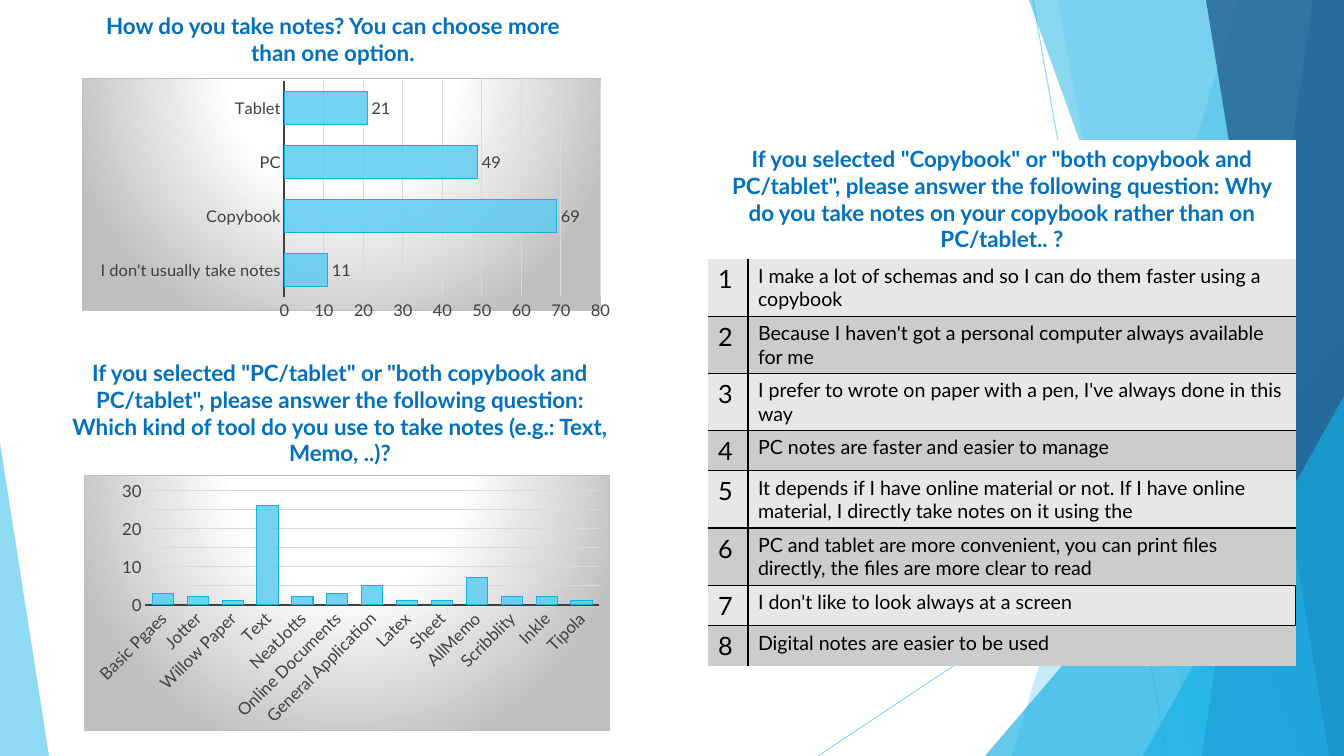
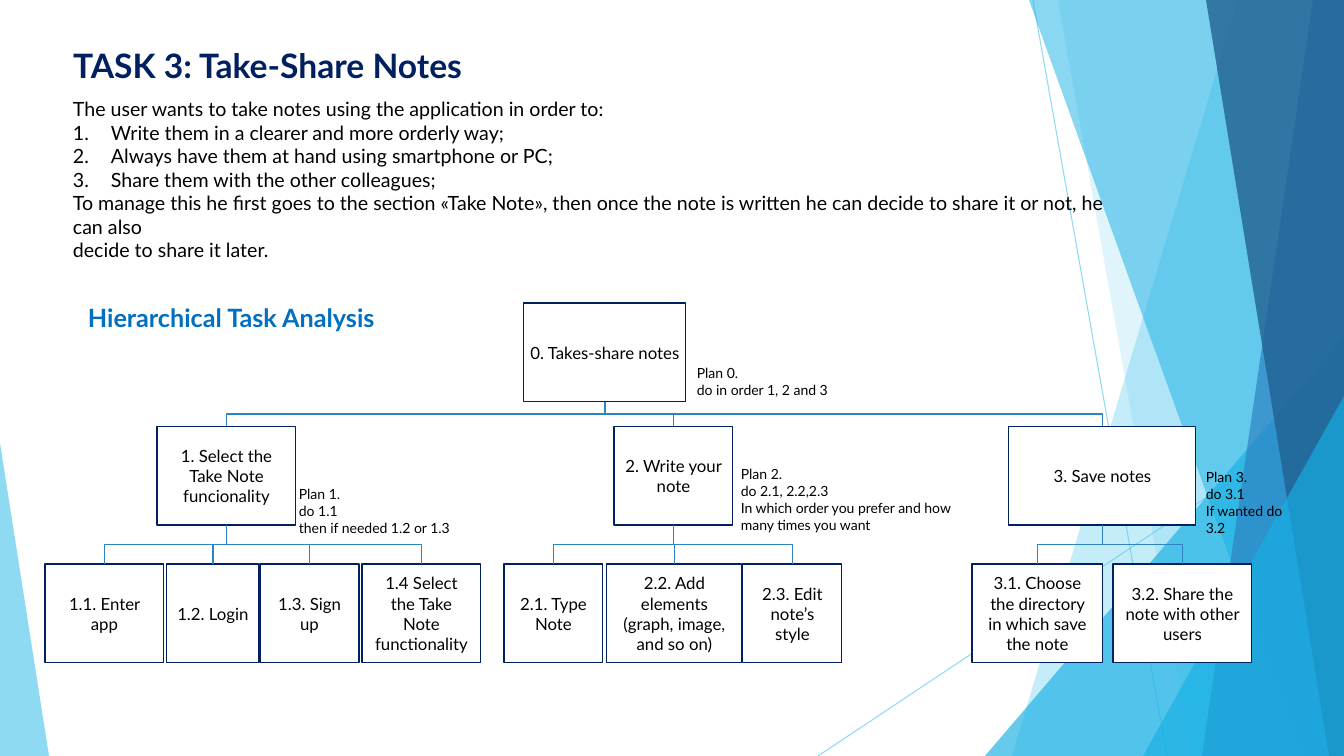
from typing import NamedTuple

from pptx import Presentation
from pptx.chart.data import CategoryChartData
from pptx.dml.color import RGBColor
from pptx.enum.chart import XL_CHART_TYPE as ChartType
from pptx.enum.chart import XL_LABEL_POSITION as LabelPosition
from pptx.enum.chart import XL_TICK_MARK as TickMark
from pptx.enum.shapes import MSO_CONNECTOR as Connector
from pptx.enum.shapes import MSO_SHAPE as Preset
from pptx.enum.text import MSO_ANCHOR as Anchor
from pptx.enum.text import MSO_AUTO_SIZE as AutoSize
from pptx.enum.text import PP_ALIGN as Align
from pptx.oxml import parse_xml
from pptx.oxml.ns import nsdecls
from pptx.util import Pt

PAGE_WIDTH, PAGE_HEIGHT = 1344, 756
SCALE = 12192000 / PAGE_WIDTH
FONT = "Lato"
BLACK = RGBColor(0x00, 0x00, 0x00)
WHITE = RGBColor(0xFF, 0xFF, 0xFF)
NAVY = RGBColor(0x00, 0x20, 0x60)
BLUE = RGBColor(0x00, 0x70, 0xC0)
SKY = RGBColor(0x5F, 0xCB, 0xEF)
CYAN = RGBColor(0x17, 0xB0, 0xE4)
STEEL = RGBColor(0x2E, 0x83, 0xC3)
DEEP = RGBColor(0x22, 0x62, 0x92)
CHARCOAL = RGBColor(0x40, 0x40, 0x40)
GRID = RGBColor(0xD9, 0xD9, 0xD9)
ROW_FILLS = RGBColor(0xE7, 0xE7, 0xE7), RGBColor(0xCC, 0xCC, 0xCC)

REASONS = [
    "I make a lot of schemas and so I can do them faster using a copybook",
    "Because I haven't got a personal computer always available for me",
    "I prefer to wrote on paper with a pen, I've always done in this way",
    "PC notes are faster and easier to manage",
    "It depends if I have online material or not. If I have online material, "
    "I directly take notes on it using the",
    "PC and tablet are more convenient, you can print files directly, "
    "the files are more clear to read",
    "I don't like to look always at a screen",
    "Digital notes are easier to be used",
]
DEVICES = {"I don't usually take notes": 11, "Copybook": 69, "PC": 49, "Tablet": 21}
TOOLS = {
    "Basic Pgaes": 3, "Jotter": 2, "Willow Paper": 1, "Text": 26, "NeatJotts": 2,
    "Online Documents": 3, "General Application": 5, "Latex": 1, "Sheet": 1,
    "AllMemo": 7, "Scribblity": 2, "Inkle": 2, "Tipola": 1,
}
# Each task: text, left, width, subtasks
TASKS = ("0. Takes-share notes", 479, 162, [
    ("1. Select the Take Note funcionality", 112, 139, [
        ("1.1. Enter app", 0, 119, []),
        ("1.2. Login", 122, 92, []),
        ("1.3. Sign up", 215, 99, []),
        ("1.4 Select the Take Note functionality", 317, 119, []),
    ]),
    ("2. Write your note", 569, 119, [
        ("2.1. Type Note", 459, 99, []),
        ("2.2. Add elements (graph, image, and so on)", 562, 135, []),
        ("2.3. Edit note’s style", 698, 99, []),
    ]),
    ("3. Save notes", 964, 187, [
        ("3.1. Choose the directory in which save the note", 927, 131, []),
        ("3.2. Share the note with other users", 1068, 139, []),
    ]),
])
TASK_ROWS, TASK_HEIGHT = (0, 123, 261), 99
PLANS = [
    (642, 57, 160, ["Plan 0.", "do in order 1, 2 and 3"]),
    (244, 178, 179, ["Plan 1.", "do 1.1", "then if needed 1.2 or 1.3"]),
    (686, 158, 242, ["Plan 2.", "do 2.1, 2.2,2.3",
                     "In which order you prefer and how many times you want"]),
    (1151, 161, 114, ["Plan 3.", "do 3.1", "If wanted do 3.2"]),
]


class Box(NamedTuple):
    left: int
    top: int
    width: int
    height: int

    def emu(self):
        return [px(length) for length in self]


def px(length):
    return round(length * SCALE)


def set_alpha(element, query, percent):
    for color in element.xpath(query):
        color.append(parse_xml(f'<a:alpha {nsdecls("a")} val="{percent * 1000}"/>'))


def write(shape, lines, size, color=BLACK, bold=False, align=Align.LEFT, anchor=Anchor.TOP):
    frame = shape.text_frame
    frame.text = "\n".join(lines)
    frame.word_wrap = True
    frame.auto_size = AutoSize.NONE
    frame.vertical_anchor = anchor
    for para in frame.paragraphs:
        para.alignment = align
        for span in para.runs:
            font = span.font
            font.name, font.size, font.bold = FONT, Pt(size), bold
            font.color.rgb = color


def add_text(page, box, lines, size, **style):
    shape = page.shapes.add_textbox(*box.emu())
    write(shape, lines, size, **style)
    return shape


def set_title(page, box, text, size, **style):
    title = page.shapes.title
    title.left, title.top, title.width, title.height = box.emu()
    write(title, [text], size, bold=True, **style)


def paint(shape, color, percent):
    shape.shadow.inherit = False
    shape.fill.solid()
    shape.fill.fore_color.rgb = color
    shape.line.fill.background()
    set_alpha(shape.element, "./p:spPr/a:solidFill/a:srgbClr", percent)


def add_line(page, kind, color, width, ends=(0, 0, 0, 0)):
    line = page.shapes.add_connector(kind, *[px(end) for end in ends])
    line.line.color.rgb = color
    line.line.width = Pt(width)
    line.element.spPr.append(parse_xml(f'<a:effectLst {nsdecls("a")}/>'))
    return line


def add_panel(page, top_x, bottom_x, color, percent):
    """Fill from a slanting left edge to the right side of the page."""
    outline = page.shapes.build_freeform(top_x, 0, scale=SCALE)
    outline.add_line_segments(
        [(PAGE_WIDTH, 0), (PAGE_WIDTH, PAGE_HEIGHT), (bottom_x, PAGE_HEIGHT)])
    paint(outline.convert_to_shape(), color, percent)


def add_corner(page, box, tip, color, percent):
    triangle = page.shapes.add_shape(Preset.ISOSCELES_TRIANGLE, *box.emu())
    triangle.adjustments[0] = tip
    paint(triangle, color, percent)


def decorate_master(deck, page):
    """Draw the facets on an empty page, then move them to the master."""
    existing = set(page.shapes.element)
    for ends in ((1033, 0, 1167, 756), (1344, 406, 818, 756)):
        line = add_line(page, Connector.STRAIGHT, SKY, 0.75, ends)
        set_alpha(line.element, "./p:spPr/a:ln//a:srgbClr", 70)
    add_panel(page, 1238, 1012, SKY, 36)
    add_panel(page, 1058, 1192, SKY, 20)
    add_corner(page, Box(985, 336, 359, 420), 1, CYAN, 66)
    add_panel(page, 1029, 1301, CYAN, 50)
    add_panel(page, 1313, 1202, STEEL, 70)
    add_panel(page, 1206, 1329, DEEP, 80)
    add_corner(page, Box(1143, 396, 201, 360), 1, CYAN, 66)
    add_corner(page, Box(0, 443, 49, 313), 0, SKY, 70)
    tree = deck.slide_master.shapes.element
    facets = [item for item in page.shapes.element if item not in existing]
    for index, facet in enumerate(facets):
        facet.xpath(".//p:cNvPr")[0].set("id", str(100 + index))
        tree.insert(2 + index, facet)


def add_survey_chart(page, box, kind, answers, maximum, step):
    data = CategoryChartData()
    data.categories = list(answers)
    data.add_series("Series 1", list(answers.values()))
    chart = page.shapes.add_chart(kind, *box.emu(), data).chart
    chart.has_title = chart.has_legend = False
    chart.font.name, chart.font.size = FONT, Pt(10)
    chart.font.color.rgb = BLACK
    for axis in (chart.category_axis, chart.value_axis):
        axis.major_tick_mark = axis.minor_tick_mark = TickMark.NONE
        font = axis.tick_labels.font
        font.name, font.size = FONT, Pt(12)
        font.color.rgb = CHARCOAL
    chart.category_axis.format.line.color.rgb = CHARCOAL
    chart.category_axis.format.line.width = Pt(1.5)
    scale = chart.value_axis
    scale.minimum_scale, scale.maximum_scale, scale.major_unit = 0, maximum, step
    scale.format.line.fill.background()
    scale.major_gridlines.format.line.color.rgb = GRID
    scale.major_gridlines.format.line.width = Pt(0.75)
    plot = chart.plots[0]
    plot.gap_width = 65
    plot.vary_by_categories = False
    bars = plot.series[0].format
    bars.fill.solid()
    bars.fill.fore_color.rgb = SKY
    bars.line.color.rgb = CYAN
    bars.line.width = Pt(0.75)
    set_alpha(chart.element, ".//c:ser/c:spPr/a:solidFill/a:srgbClr", 85)
    stops = "".join(f'<a:gs pos="{pos}000"><a:srgbClr val="{color}"/></a:gs>'
                    for pos, color in ((0, "FFFFFF"), (39, "FFFFFF"), (100, "BFBFBF")))
    chart.element.xpath("c:chart")[0].addnext(parse_xml(
        f'<c:spPr {nsdecls("c", "a")}><a:gradFill><a:gsLst>{stops}</a:gsLst>'
        '<a:path path="circle"><a:fillToRect l="50000" t="-80000" r="50000" b="180000"/>'
        '</a:path></a:gradFill><a:ln w="9525"><a:solidFill><a:srgbClr val="BFBFBF"/>'
        '</a:solidFill></a:ln></c:spPr>'))
    return chart


def label_bars(chart):
    plot = chart.plots[0]
    plot.has_data_labels = True
    labels = plot.data_labels
    labels.show_value = True
    labels.position = LabelPosition.OUTSIDE_END
    labels.font.name, labels.font.size = FONT, Pt(12)
    labels.font.color.rgb = CHARCOAL


def fix_plot(chart, x, y, w, h):
    area = chart.element.xpath("c:chart/c:plotArea")[0]
    for layout in area.xpath("c:layout"):
        area.remove(layout)
    sizes = "".join(f'<c:{name} val="{value}"/>'
                    for name, value in (("x", x), ("y", y), ("w", w), ("h", h)))
    area.insert(0, parse_xml(
        f'<c:layout {nsdecls("c")}><c:manualLayout><c:layoutTarget val="inner"/>'
        f'<c:xMode val="edge"/><c:yMode val="edge"/>{sizes}</c:manualLayout></c:layout>'))


def set_borders(cell, sides):
    """Rule the named sides (L, R, T, B) and clear the others."""
    props = cell._tc.get_or_add_tcPr()
    for index, side in enumerate("LRTB"):
        fill = ('<a:solidFill><a:srgbClr val="000000"/></a:solidFill>'
                if side in sides else "<a:noFill/>")
        props.insert(index, parse_xml(
            f'<a:ln{side} {nsdecls("a")} w="12700">{fill}</a:ln{side}>'))


def add_reason_table(page, box):
    table = page.shapes.add_table(len(REASONS), 2, *box.emu()).table
    table.first_row = table.horz_banding = False
    table.columns[0].width = px(40)
    table.columns[1].width = px(box.width - 40)
    for index, reason in enumerate(REASONS):
        table.rows[index].height = px(57 if len(reason) > 60 else 40)
        rules = ("T" if index else "") + ("B" if index < len(REASONS) - 1 else "")
        for column, (text, size) in enumerate(((str(index + 1), 18), (reason, 14))):
            cell = table.cell(index, column)
            cell.text = text
            font = cell.text_frame.paragraphs[0].runs[0].font
            font.name, font.size = FONT, Pt(size)
            font.color.rgb = BLACK
            cell.fill.solid()
            cell.fill.fore_color.rgb = ROW_FILLS[index % 2]
            set_borders(cell, rules + ("LR" if column and index == 6 else "RL"[column]))


def build_survey(page):
    heading = {"color": BLUE, "align": Align.CENTER}
    set_title(page, Box(92, 7, 482, 65),
              "How do you take notes? You can choose more than one option.", 16, **heading)
    devices = add_survey_chart(page, Box(82, 78, 528, 242),
                               ChartType.BAR_CLUSTERED, DEVICES, 80, 10)
    label_bars(devices)
    fix_plot(devices, 0.39, 0.01, 0.61, 0.93)
    add_text(page, Box(61, 354, 558, 119), [
        'If you selected "PC/tablet" or "both copybook and PC/tablet", please answer the '
        'following question: Which kind of tool do you use to take notes (e.g.: '
        'Text, Memo, ..)?'], 16, bold=True, **heading)
    tools = add_survey_chart(page, Box(84, 475, 526, 256),
                             ChartType.COLUMN_CLUSTERED, TOOLS, 30, 5)
    tools.element.xpath(".//c:catAx/c:txPr/a:bodyPr")[0].set("rot", "-2700000")
    reasons = add_text(page, Box(708, 140, 588, 119), [
        'If you selected "Copybook" or "both copybook and PC/tablet", please answer the '
        'following question: Why do you take notes on your copybook rather than on '
        'PC/tablet.. ?'], 16, bold=True, **heading)
    reasons.fill.solid()
    reasons.fill.fore_color.rgb = WHITE
    add_reason_table(page, Box(708, 259, 588, 407))


def link_tasks(page, parent, child):
    """Join the bottom of the parent to the top of the child, down, across and down."""
    line = add_line(page, Connector.ELBOW, STEEL, 1)
    line.begin_connect(parent, 2)
    line.end_connect(child, 0)
    start_x, start_y = parent.left + parent.width // 2, parent.top + parent.height
    end_x, end_y = child.left + child.width // 2, child.top
    drop, span = end_y - start_y, abs(end_x - start_x)
    line.left = (start_x + end_x - drop) // 2
    line.top = (start_y + end_y - span) // 2
    line.width, line.height = drop, span
    frame = line.element.xpath("./p:spPr/a:xfrm")[0]
    rightward = end_x > start_x
    frame.set("rot", str((270 if rightward else 90) * 60000))
    frame.set("flipH", "1" if rightward else "0")
    frame.set("flipV", "0")


def add_task(page, box, task, level=0):
    text, left, width, subtasks = task
    place = Box(box.left + left, box.top + TASK_ROWS[level], width, TASK_HEIGHT)
    shape = page.shapes.add_shape(Preset.RECTANGLE, *place.emu())
    paint(shape, WHITE, 100)
    shape.line.color.rgb = NAVY
    shape.line.width = Pt(0.75)
    write(shape, [text], 12, align=Align.CENTER, anchor=Anchor.MIDDLE)
    if level == 0:
        shape.text_frame.margin_left = shape.text_frame.margin_right = px(5)
    for subtask in subtasks:
        link_tasks(page, shape, add_task(page, box, subtask, level + 1))
    return shape


def build_task(page):
    set_title(page, Box(63, 40, 442, 50), "TASK 3: Take-Share Notes", 24, color=NAVY)
    intro = add_text(page, Box(63, 92, 1060, 152), [
        "The user wants to take notes using the application in order to:",
        "Write them in a clearer and more orderly way;",
        "Always have them at hand using smartphone or PC;",
        "Share them with the other colleagues;",
        "To manage this he first goes to the section «Take Note», then once the note is "
        "written he can decide to share it or not, he can also",
        "decide to share it later."], 14)
    for para in intro.text_frame.paragraphs[1:4]:
        props = para._p.get_or_add_pPr()
        props.set("marL", str(px(38)))
        props.set("indent", str(-px(38)))
        props.append(parse_xml(f'<a:buAutoNum {nsdecls("a")} type="arabicPeriod"/>'))
    add_text(page, Box(78, 297, 336, 40), ["Hierarchical Task Analysis"], 18,
             color=BLUE, bold=True)
    tree = Box(45, 303, 1207, 360)
    add_task(page, tree, TASKS)
    for left, top, width, lines in PLANS:
        add_text(page, Box(tree.left + left, tree.top + top, width, 62), lines, 10)


def main():
    deck = Presentation()
    deck.slide_width, deck.slide_height = px(PAGE_WIDTH), px(PAGE_HEIGHT)
    title_only = deck.slide_layouts[5]
    survey, task = [deck.slides.add_slide(title_only) for _ in range(2)]
    decorate_master(deck, survey)
    build_survey(survey)
    build_task(task)
    deck.save("out.pptx")


if __name__ == "__main__":
    main()
